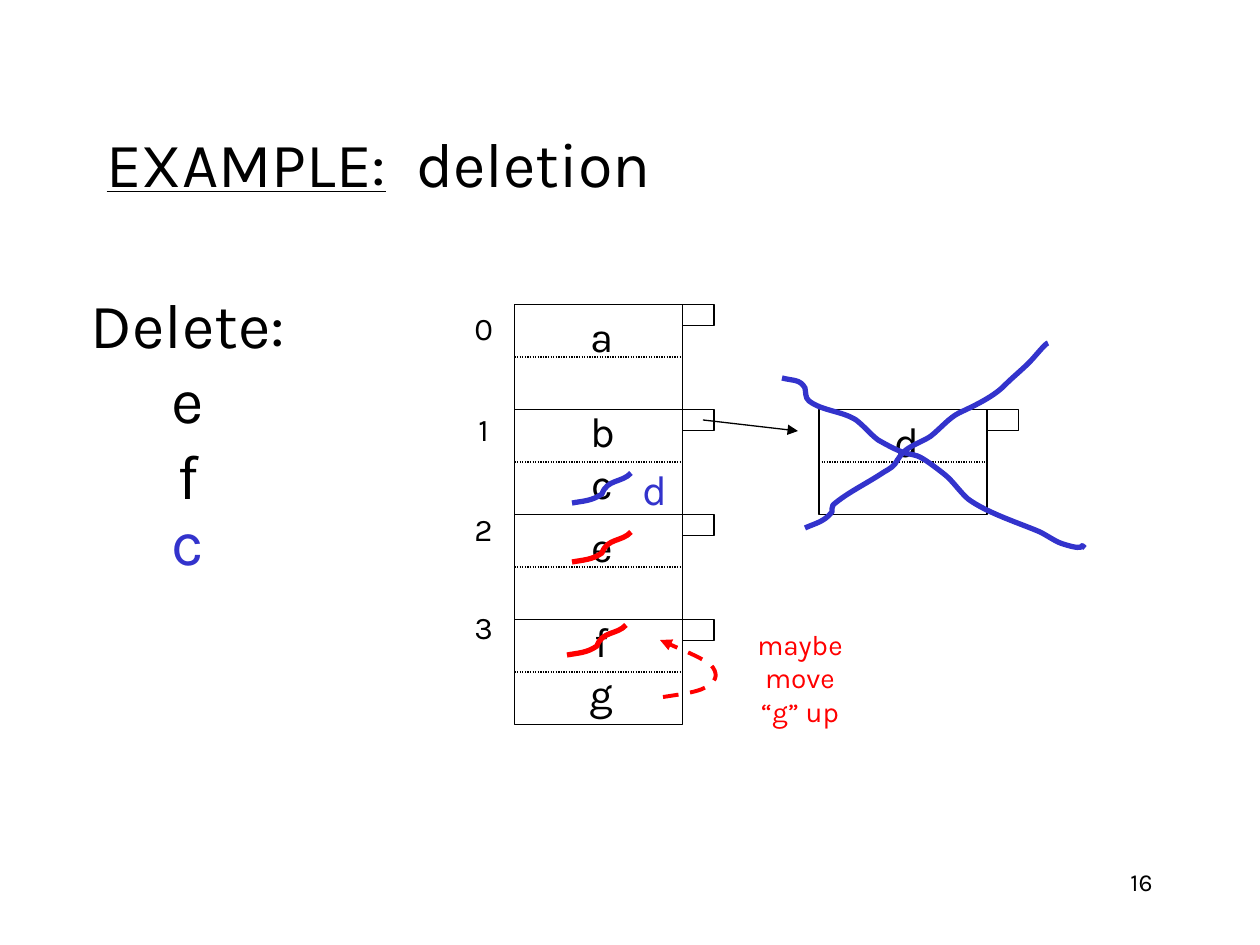
from lxml.etree import SubElement
from pptx import Presentation
from pptx.dml.color import RGBColor
from pptx.enum.dml import MSO_LINE
from pptx.enum.shapes import MSO_CONNECTOR, MSO_SHAPE
from pptx.enum.text import MSO_ANCHOR, MSO_AUTO_SIZE, PP_ALIGN
from pptx.oxml.ns import qn
from pptx.util import Emu, Pt

BLACK = RGBColor(0x00, 0x00, 0x00)
WHITE = RGBColor(0xFF, 0xFF, 0xFF)
RED = RGBColor(0xFF, 0x00, 0x00)
BLUE = RGBColor(0x33, 0x33, 0xCC)
FONT = "Karla"
PX_PER_INCH = 126

# Content: left and top of the buckets, in px
BUCKET_W, BUCKET_H = 168, 105
TAB_W, TAB_H = 31.5, 21
MAIN_BUCKETS = [(514.5, 304.5 + BUCKET_H * i) for i in range(4)]
OVERFLOW_BUCKET = (819, 409.5)

# Content: bucket number and the space before it, in points
BUCKET_NUMBERS = [("0", 0), ("1", 36.5), ("2", 35.5), ("3", 34.5)]

# Content: key, centre, top, colour
KEY_W, KEY_H = 48, 63
KEYS = [
    ("a", 602, 304, BLACK), ("b", 602, 399, BLACK), ("c", 602, 451, BLACK),
    ("e", 602, 514, BLACK), ("d", 906, 409, BLACK), ("f", 602, 609, BLACK),
    ("g", 601, 661, BLACK), ("d", 654, 457, BLUE),
]

# Content: curves as a start point, then three points per Bezier piece
STRIKE = [(0, 30), (11, 28), (20, 28), (30, 21), (35, 6), (50, 10), (59, 0)]
STRIKES = [(572, 532, RED), (567, 625, RED), (572, 473, BLUE)]
MOVE_UP = [(663, 697), (682, 694), (701, 692), (709, 685), (717, 680),
           (718, 673), (711, 665), (702, 658), (680, 649), (660, 640)]
CROSS_RISING = [
    (805, 528), (816, 523), (824, 522), (832, 512), (832, 509), (832, 507),
    (833, 505), (847, 493), (864, 485), (881, 474), (885, 471), (891, 469),
    (895, 464), (898, 459), (901, 454), (906, 450), (914, 444), (924, 441),
    (931, 436), (941, 428), (949, 418), (959, 413), (974, 406), (993, 397),
    (1004, 386), (1016, 374), (1026, 367), (1036, 355), (1037, 354),
    (1046, 343), (1048, 343)]
CROSS_FALLING = [
    (782, 378), (793, 381), (800, 379), (805, 388), (806, 392), (805, 398),
    (809, 401), (822, 411), (842, 411), (856, 420), (864, 426), (869, 433),
    (878, 440), (925, 467), (902, 441), (944, 474), (953, 481), (959, 491),
    (968, 499), (987, 513), (1019, 523), (1040, 532), (1048, 536),
    (1056, 542), (1063, 544), (1091, 553), (1077, 541), (1085, 548)]


def px(length):
    return Emu(round(length * 914400 / PX_PER_INCH))


def style_line(line, color=BLACK, width=0.75, dash=None, arrow=False):
    line.color.rgb = color
    line.width = Pt(width)
    if dash:
        line.dash_style = dash
    if arrow:
        SubElement(line._get_or_add_ln(), qn("a:tailEnd"), type="triangle")


def add_text(text, box, size, color=BLACK, align=PP_ALIGN.CENTER,
             anchor=MSO_ANCHOR.MIDDLE, wrap=False):
    frame = slide.shapes.add_textbox(*map(px, box)).text_frame
    frame.text = text
    frame.word_wrap = wrap
    frame.vertical_anchor = anchor
    for paragraph in frame.paragraphs:
        paragraph.alignment = align
        paragraph.font.name = FONT
        paragraph.font.size = Pt(size)
        paragraph.font.color.rgb = color
    return frame


def add_box(*box):
    rectangle = slide.shapes.add_shape(MSO_SHAPE.RECTANGLE, *map(px, box))
    rectangle.shadow.inherit = False
    rectangle.fill.solid()
    rectangle.fill.fore_color.rgb = WHITE
    style_line(rectangle.line)


def add_line(*ends, **line_style):
    connector = slide.shapes.add_connector(MSO_CONNECTOR.STRAIGHT, *map(px, ends))
    style_line(connector.line, **line_style)
    SubElement(connector._element.spPr, qn("a:effectLst"))


def add_bucket(left, top):
    right, middle = left + BUCKET_W, top + BUCKET_H / 2
    add_box(left, top, BUCKET_W, BUCKET_H)
    add_box(right, top, TAB_W, TAB_H)
    add_line(left, middle, right, middle, dash=MSO_LINE.ROUND_DOT)


def add_curve(points, color, width=3, **line_style):
    start, *rest = [(px(x), px(y)) for x, y in points]
    builder = slide.shapes.build_freeform(*start)
    builder.add_line_segments(rest, close=False)
    curve = builder.convert_to_shape()
    # Turn each three straight segments into one Bezier piece
    outline = next(curve._element.iter(qn("a:path")))
    segments = outline.findall(qn("a:lnTo"))
    for i in range(0, len(segments), 3):
        piece = SubElement(outline, qn("a:cubicBezTo"))
        for segment in segments[i:i + 3]:
            piece.append(segment[0])
            outline.remove(segment)
    curve.shadow.inherit = False
    curve.fill.background()
    style_line(curve.line, color, width, **line_style)


presentation = Presentation()
presentation.slide_width, presentation.slide_height = px(1260), px(945)
slide = presentation.slides.add_slide(presentation.slide_layouts[5])

# Title
title = slide.shapes.title
title.left, title.top, title.width, title.height = map(px, (94, 84, 1071, 157))
title.text_frame.auto_size = MSO_AUTO_SIZE.NONE
title.text_frame.vertical_anchor = MSO_ANCHOR.MIDDLE
heading = title.text_frame.paragraphs[0]
heading.alignment = PP_ALIGN.LEFT
heading.font.name = FONT
heading.font.size = Pt(36)
heading.font.color.rgb = BLACK
example = heading.add_run()
example.text = "EXAMPLE:"
example.font.underline = True
heading.add_run().text = "  deletion"

# Hash table and its overflow bucket
for bucket in MAIN_BUCKETS + [OVERFLOW_BUCKET]:
    add_bucket(*bucket)
numbers = add_text("\n".join(number for number, _ in BUCKET_NUMBERS),
                   (462, 295, 43, 365), 18)
for paragraph, (_, space) in zip(numbers.paragraphs, BUCKET_NUMBERS):
    paragraph.space_before = Pt(space)
add_line(703, 420, 798, 431, arrow=True)

# Keys
for key, center, top, color in KEYS:
    add_text(key, (center - KEY_W / 2, top, KEY_W, KEY_H), 24, color)

# Keys to delete
add_text("Delete:\ve\vf", (75, 279, 226, 239), 36)
add_text("c", (159, 496, 54, 88), 36, BLUE)

# Deletion marks
for left, top, color in STRIKES:
    add_curve([(left + x, top + y) for x, y in STRIKE], color)
for cross in (CROSS_RISING, CROSS_FALLING):
    add_curve(cross, BLUE)

# Moving g up
add_text("maybe move\n“g” up", (708, 637, 184, 81), 16, RED, wrap=True)
add_curve(MOVE_UP, RED, 2.25, dash=MSO_LINE.DASH, arrow=True)

# Slide number
add_text("16", (903, 861, 262, 63), 14, align=PP_ALIGN.RIGHT,
         anchor=MSO_ANCHOR.TOP, wrap=True)

presentation.save("out.pptx")
